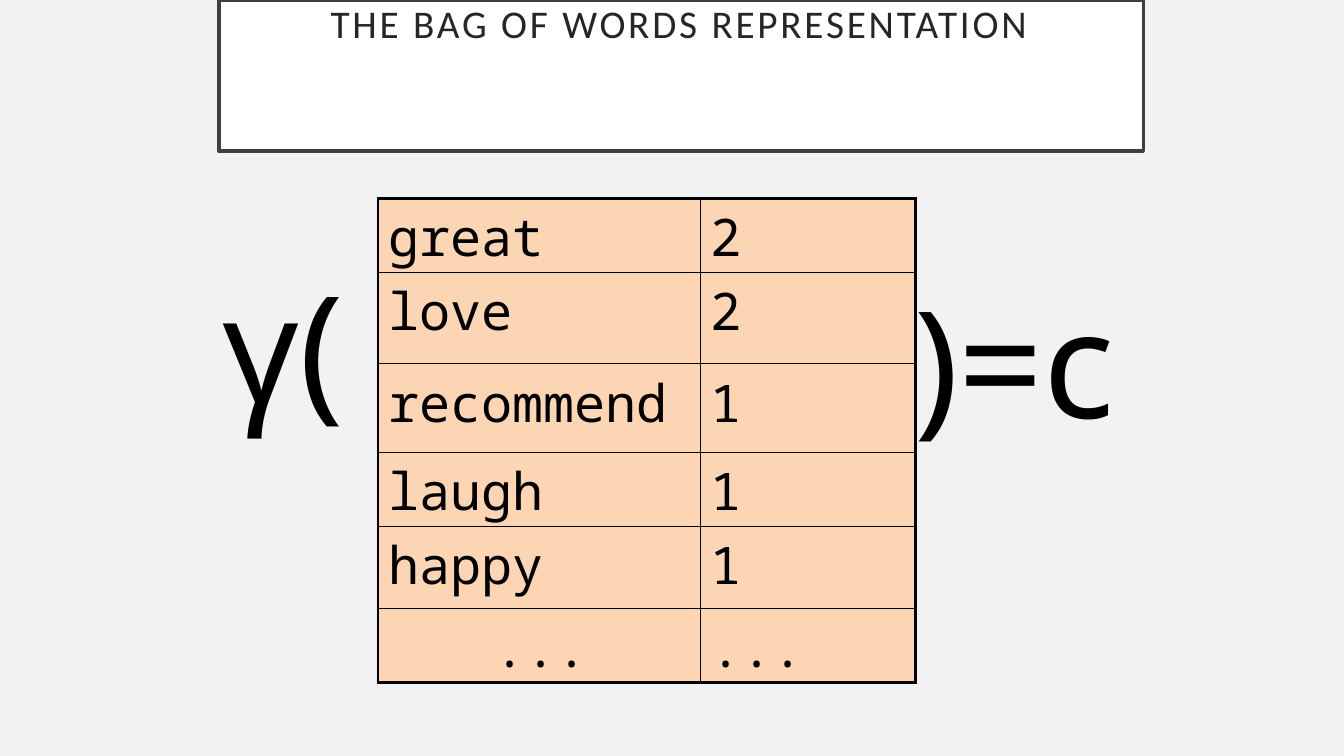
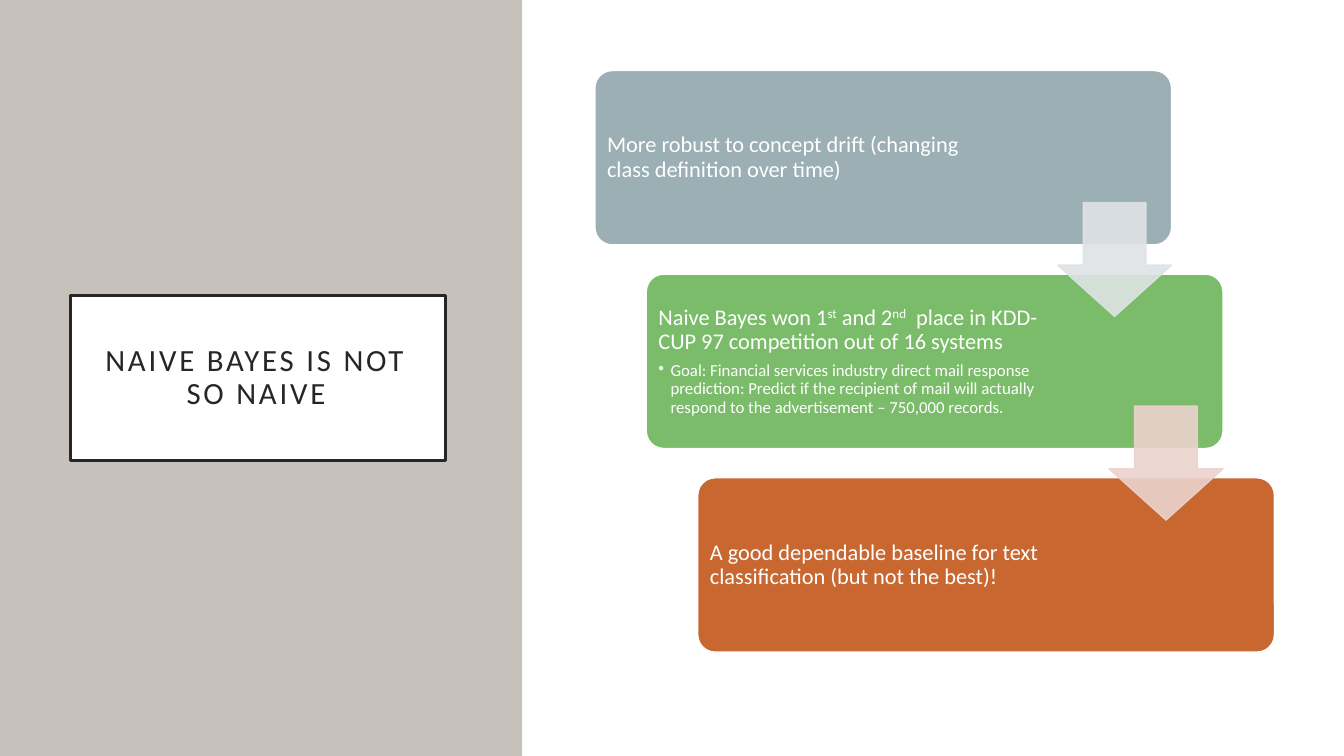
from dataclasses import dataclass

from lxml import etree
from pptx import Presentation
from pptx import util as u
from pptx.dml.color import RGBColor
from pptx.enum import shapes, text
from pptx.oxml.ns import qn


@dataclass(frozen=True)
class Theme:
    """Colours, fonts and type sizes of the deck."""
    sans: str = "Calibri"
    math: str = "Noto Sans"
    mono: str = "Noto Sans Mono"
    white: str = "FFFFFF"
    black: str = "000000"
    ink: str = "262626"
    edge: str = "404040"
    pale: str = "F2F2F2"
    stone: str = "C6C1BA"
    peach: str = "FCD5B5"
    cards: tuple = ("9BAFB5", "7ABC69", "C96731")
    arrows: tuple = ("DEE3E5", "EBD3CD")
    head: int = 28
    side: int = 22
    sign: int = 106
    cell: int = 37
    lead: int = 16
    note: int = 12


T = Theme()
SCALE = 9144
WIDE, HIGH = 1333, 750
ROWS = [("great", "2", 73), ("love", "2", 91), ("recommend", "1", 88),
        ("laugh", "1", 73), ("happy", "1", 82), ("...", "...", 73)]
CARDS = [
    ("More robust to concept drift (changing class definition over time)",),
    ("Naive Bayes won 1", "st", " and 2", "nd",
     "  place in KDD-CUP 97 competition out of 16 systems"),
    ("A good dependable baseline for text classification (but not the best)!",),
]
GOAL = ("Goal: Financial services industry direct mail response prediction: "
        "Predict if the recipient of mail will actually respond to the "
        "advertisement – 750,000 records.")


def px(*sizes):
    """Turn px into EMU."""
    return [u.Emu(n * SCALE) for n in sizes]


def rgb(code):
    """Read a hex colour."""
    return RGBColor.from_string(code)


def ink(run, size, color, face=T.sans):
    """Format a run."""
    run.font.size = u.Pt(size)
    run.font.name = face
    run.font.color.rgb = rgb(color)


def inset(frame, left, top, right, low):
    """Set the margins of a text frame or cell."""
    (frame.margin_left, frame.margin_top,
     frame.margin_right, frame.margin_bottom) = px(left, top, right, low)


def paint(shape, fill, line=None, width=1):
    """Fill and outline a shape."""
    shape.fill.solid()
    shape.fill.fore_color.rgb = rgb(fill)
    if line:
        shape.line.color.rgb = rgb(line)
        shape.line.width = u.Pt(width)
    else:
        shape.line.fill.background()


def block(slide, kind, box, fill, line=None):
    """Add a plain preset shape."""
    shape = slide.shapes.add_shape(kind, *px(*box))
    shape.shadow.inherit = False
    paint(shape, fill, line)
    return shape


def page(deck, color):
    """Add a slide with a title and a plain background."""
    slide = deck.slides.add_slide(deck.slide_layouts[5])
    slide.background.fill.solid()
    slide.background.fill.fore_color.rgb = rgb(color)
    return slide


def title(slide, words, box, size, line, anchor):
    """Place the framed title."""
    shape = slide.shapes.title
    shape.left, shape.top, shape.width, shape.height = px(*box)
    paint(shape, T.white, line, 2.5)
    frame = shape.text_frame
    frame.text = words
    frame.word_wrap = True
    frame.auto_size = text.MSO_AUTO_SIZE.NONE
    frame.vertical_anchor = anchor
    inset(frame, 10, 5, 14, 5)
    para = frame.paragraphs[0]
    para.alignment = text.PP_ALIGN.CENTER
    para.line_spacing = 0.9
    run = para.runs[0]
    ink(run, size, T.ink)
    run.font._element.set("spc", "200")


def sign(slide, words, box):
    """Place a large piece of the formula."""
    frame = slide.shapes.add_textbox(*px(*box)).text_frame
    frame.text = words
    frame.word_wrap = False
    inset(frame, 4, 0, 4, 0)
    ink(frame.paragraphs[0].runs[0], T.sign, T.black, T.math)


def border(cell, side, width):
    """Draw one side of a cell."""
    line = etree.SubElement(cell._tc.get_or_add_tcPr(), qn("a:ln" + side),
                            w=str(u.Pt(width)))
    fill = etree.SubElement(line, qn("a:solidFill"))
    etree.SubElement(fill, qn("a:srgbClr"), val=T.black)


def counts(slide, left, top, cols):
    """Place the table of word counts."""
    size = px(left, top, sum(cols), sum(row[-1] for row in ROWS))
    table = slide.shapes.add_table(len(ROWS), len(cols), *size).table
    table.first_row = table.horz_banding = False
    for col, width in zip(table.columns, px(*cols)):
        col.width = width
    last = len(ROWS) - 1
    for r, (*words, high) in enumerate(ROWS):
        table.rows[r].height = px(high)[0]
        for c, word in enumerate(words):
            cell = table.cell(r, c)
            outer = {"L": c == 0, "R": c == 1, "T": r == 0, "B": r == last}
            for side, thick in outer.items():
                border(cell, side, 2.25 if thick else 1)
            cell.fill.solid()
            cell.fill.fore_color.rgb = rgb(T.peach)
            inset(cell, 10, 3, 6, 0)
            para = cell.text_frame.paragraphs[0]
            para.text = word
            if r == last and c == 0:
                para.alignment = text.PP_ALIGN.CENTER
            ink(para.runs[0], T.cell, T.black, T.mono)


def prose(para, parts, size, after):
    """Write a paragraph in which every second part is raised."""
    para.alignment = text.PP_ALIGN.LEFT
    para.line_spacing = 0.9
    para.space_after = u.Pt(after)
    for i, part in enumerate(parts):
        run = para.add_run()
        run.text = part
        ink(run, size, T.white)
        if i % 2:
            run.font._element.set("baseline", "30000")


def bullet(para, hang):
    """Give a paragraph a hanging bullet."""
    props = para._p.get_or_add_pPr()
    props.set("marL", str(hang * SCALE))
    props.set("indent", str(-hang * SCALE))
    etree.SubElement(props, qn("a:buChar"), char="•")


def card(slide, box, color, parts, gap):
    """Place a rounded card and return its text frame."""
    shape = block(slide, shapes.MSO_SHAPE.ROUNDED_RECTANGLE, box, color, T.white)
    shape.adjustments[0] = 0.1
    frame = shape.text_frame
    frame.word_wrap = True
    frame.vertical_anchor = text.MSO_ANCHOR.MIDDLE
    inset(frame, 7, 7, gap, 7)
    prose(frame.paragraphs[0], parts, T.lead, 5.6)
    return frame


def arrow(slide, box, color):
    """Place a slightly clear down arrow."""
    shape = block(slide, shapes.MSO_SHAPE.DOWN_ARROW, box, color, color)
    shape.adjustments[0] = 0.55
    shape.adjustments[1] = 0.45
    for tint in list(shape._element.spPr.iter(qn("a:srgbClr"))):
        etree.SubElement(tint, qn("a:alpha"), val="90000")


def stairs(slide, left, top, wide, high):
    """Place the three stepped cards and the arrows between them."""
    spots = [(left + 51 * i, top + 202 * i) for i in range(len(CARDS))]
    frames = [card(slide, (x, y, wide, high), color, parts, gap)
              for (x, y), color, parts, gap
              in zip(spots, T.cards, CARDS, (184, 170, 170))]
    goal = frames[1].add_paragraph()
    prose(goal, [GOAL], T.note, 1.8)
    bullet(goal, 12)
    side = 113
    for (x, y), color in zip(spots, T.arrows):
        arrow(slide, (x + wide - side, y + 131, side, side), color)


def bag(deck):
    """Build the bag of words slide."""
    slide = page(deck, T.pale)
    title(slide, "THE BAG OF WORDS REPRESENTATION", (217, 0, 917, 150),
          T.head, T.edge, text.MSO_ANCHOR.TOP)
    sign(slide, "γ(", (217, 253, 151, 183))
    sign(slide, ")=c", (903, 268, 257, 183))
    counts(slide, 375, 197, (320, 213))


def naive(deck):
    """Build the slide on the strengths of naive Bayes."""
    slide = page(deck, T.white)
    panel = block(slide, shapes.MSO_SHAPE.RECTANGLE, (0, 0, 518, HIGH), T.stone)
    slide.shapes.title._element.addprevious(panel._element)
    title(slide, "NAIVE BAYES IS NOT SO NAIVE", (70, 293, 372, 164),
          T.side, T.ink, text.MSO_ANCHOR.MIDDLE)
    stairs(slide, 590, 70, 572, 173)


def main():
    """Build and save the deck."""
    deck = Presentation()
    deck.slide_width, deck.slide_height = px(WIDE, HIGH)
    bag(deck)
    naive(deck)
    deck.save("out.pptx")


if __name__ == "__main__":
    main()
